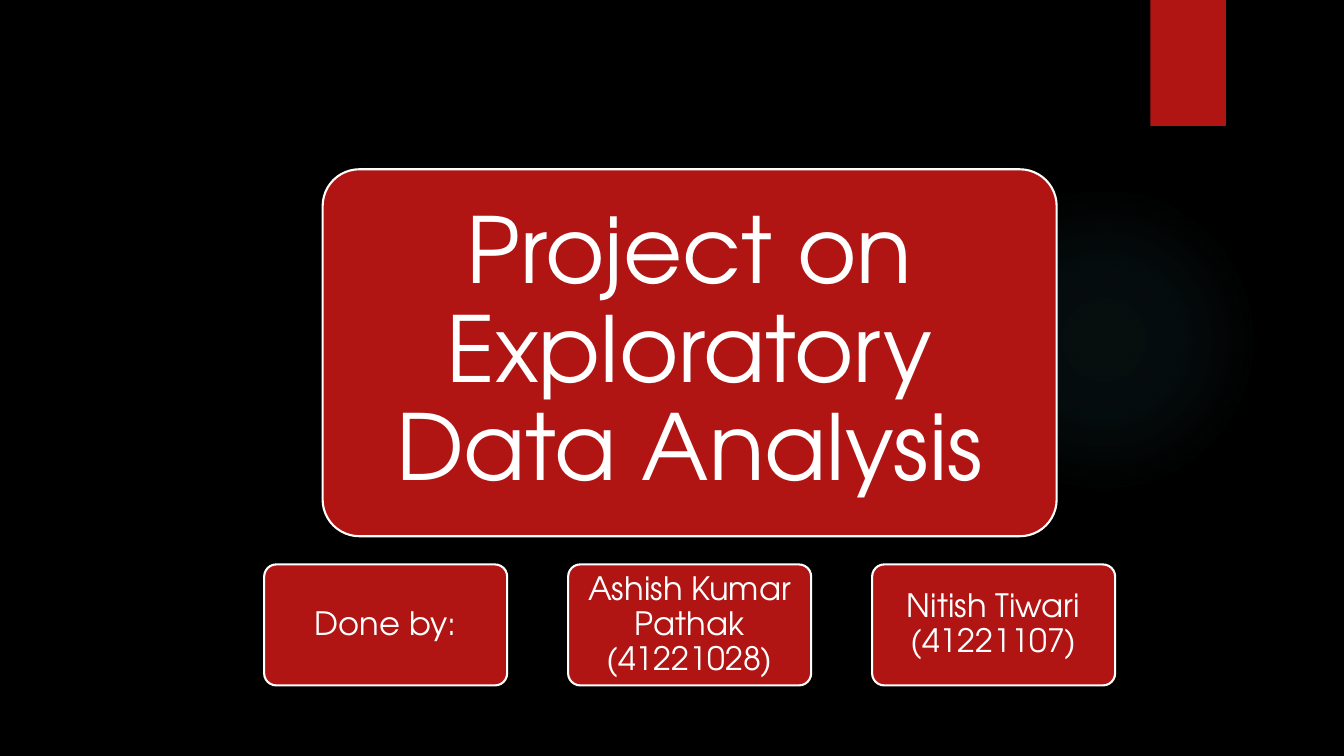
from pptx import Presentation
from pptx.dml.color import RGBColor
from pptx.enum.shapes import MSO_SHAPE
from pptx.enum.text import MSO_ANCHOR, PP_ALIGN
from pptx.oxml import parse_xml
from pptx.oxml.ns import nsdecls, qn
from pptx.util import Inches, Pt

TITLE = "Project on Exploratory Data Analysis"
CREDITS = ["Done by:", "Ashish Kumar Pathak (41221028)", "Nitish Tiwari (41221107)"]

FONT = "TeX Gyre Adventor"
BLACK = RGBColor(0x00, 0x00, 0x00)
RED = RGBColor(0xB0, 0x15, 0x13)
WHITE = RGBColor(0xFF, 0xFF, 0xFF)
GLOW = RGBColor(0x50, 0xB9, 0xC1)
GLOW_STOPS = [(0, 7), (36, 6), (69, 0)]  # position and opacity, in percent

TITLE_BOX = (3.2, 1.68, 7.28, 3.64)
CREDIT_LEFT, CREDIT_TOP, CREDIT_STEP = 2.62, 5.6, 3.015
CREDIT_WIDTH, CREDIT_HEIGHT = 2.41, 1.2


def add_plain_shape(slide, kind, box, color=None):
    shape = slide.shapes.add_shape(kind, *map(Inches, box))
    shape.shadow.inherit = False
    shape.line.fill.background()
    if color is None:
        shape.fill.background()
    else:
        shape.fill.solid()
        shape.fill.fore_color.rgb = color
    return shape


def add_glow(slide, box):
    """Add a circle that fades out from its centre."""
    circle = add_plain_shape(slide, MSO_SHAPE.OVAL, box)
    stops = "".join(
        f'<a:gs pos="{position * 1000}"><a:srgbClr val="{GLOW}">'
        f'<a:alpha val="{opacity * 1000}"/></a:srgbClr></a:gs>'
        for position, opacity in GLOW_STOPS
    )
    gradient = parse_xml(
        f'<a:gradFill {nsdecls("a")} rotWithShape="1"><a:gsLst>{stops}</a:gsLst>'
        '<a:path path="circle"><a:fillToRect l="50000" t="50000" r="50000" b="50000"/>'
        '</a:path></a:gradFill>'
    )
    properties = circle._element.spPr
    properties.replace(properties.find(qn("a:noFill")), gradient)


def add_card(slide, box, text, size, side_margin, end_margin):
    card = add_plain_shape(slide, MSO_SHAPE.ROUNDED_RECTANGLE, box, RED)
    card.adjustments[0] = 0.1
    card.line.color.rgb = WHITE
    card.line.width = Pt(1.5)
    frame = card.text_frame
    frame.word_wrap = True
    frame.vertical_anchor = MSO_ANCHOR.MIDDLE
    frame.margin_left = frame.margin_right = Inches(side_margin)
    frame.margin_top = frame.margin_bottom = Inches(end_margin)
    paragraph = frame.paragraphs[0]
    paragraph.text = text
    paragraph.alignment = PP_ALIGN.CENTER
    paragraph.line_spacing = 0.9
    paragraph.font.name = FONT
    paragraph.font.size = Pt(size)
    paragraph.font.color.rgb = WHITE


def main():
    presentation = Presentation()
    presentation.slide_width = Inches(13.33)
    presentation.slide_height = Inches(7.5)
    slide = presentation.slides.add_slide(presentation.slide_layouts[6])
    slide.background.fill.solid()
    slide.background.fill.fore_color.rgb = BLACK

    add_glow(slide, (9.41, 1.83, 3.08, 3.08))
    add_plain_shape(slide, MSO_SHAPE.RECTANGLE, (11.41, 0, 0.75, 1.25), RED)
    add_card(slide, TITLE_BOX, TITLE, 65, 0.14, 0.09)
    for index, credit in enumerate(CREDITS):
        left = CREDIT_LEFT + index * CREDIT_STEP
        box = (left, CREDIT_TOP, CREDIT_WIDTH, CREDIT_HEIGHT)
        add_card(slide, box, credit, 23, 0.05, 0.03)

    presentation.save("out.pptx")


if __name__ == "__main__":
    main()
